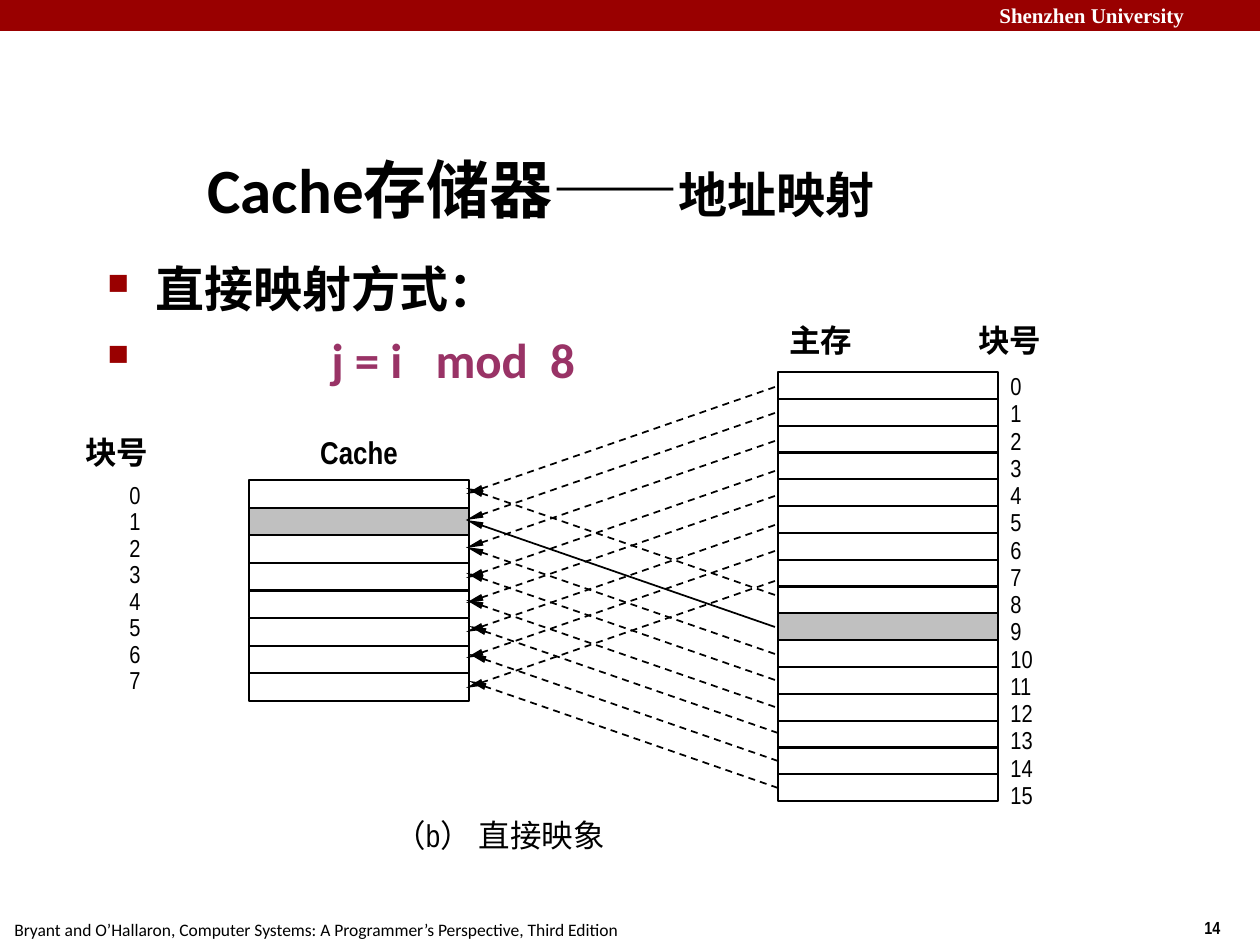
from lxml import etree
from pptx import Presentation
from pptx.dml.color import RGBColor
from pptx.enum.dml import MSO_LINE
from pptx.enum.shapes import MSO_CONNECTOR, MSO_SHAPE
from pptx.enum.text import MSO_ANCHOR, MSO_AUTO_SIZE, PP_ALIGN
from pptx.oxml.ns import qn
from pptx.util import Emu, Pt

RECTANGLE = MSO_SHAPE.RECTANGLE
STRAIGHT = MSO_CONNECTOR.STRAIGHT
DASH = MSO_LINE.DASH
LEFT, CENTER = PP_ALIGN.LEFT, PP_ALIGN.CENTER
MIDDLE = MSO_ANCHOR.MIDDLE
NO_AUTOFIT = MSO_AUTO_SIZE.NONE

EMU_PER_PX = 914400 // 126
RED, BLACK, WHITE, GREY, PURPLE = "990000", "000000", "FFFFFF", "C0C0C0", "993366"

# Content: text runs are (text, font format)
HEADING = dict(name="Calibri", size=36, bold=True, color=BLACK)
BODY = dict(HEADING, size=28)
FORMULA = dict(BODY, color=PURPLE)
LABEL = dict(name="Arial Narrow", size=18, bold=True, color=BLACK)
CAPTION = dict(LABEL, bold=False)
NUMBER = dict(CAPTION, size=14)
PAGE = dict(LABEL, size=10)
FOOTER = dict(name="Calibri", size=10, bold=False, color=BLACK)
BANNER = dict(name="Times New Roman", size=12, bold=True, color=WHITE)

TITLE_BOX = (195, 136, 861, 105)
TITLE = [("Cache存储器——", HEADING), ("地址映射", BODY)]

BULLETS_BOX = (95, 252, 1071, 588)
BULLETS = [  # text, format, text indent, space before in points
    ("直接映射方式：", BODY, 48, 0),
    ("j = i   mod  8", FORMULA, 224, 7),
]

TEXTS = [  # box, text, format, alignment
    ((987, -4, 282, 38), "Shenzhen University", BANNER, LEFT),
    ((1192, 911, 95, 34), "14", PAGE, LEFT),
    ((2, 913, 640, 34), "Bryant and O’Hallaron, Computer Systems: "
     "A Programmer’s Perspective, Third Edition", FOOTER, LEFT),
    ((382, 810, 270, 40), "（b） 直接映象", CAPTION, LEFT),
    ((73, 427, 220, 40), "块号", LABEL, LEFT),
    ((966, 315, 220, 40), "块号", LABEL, LEFT),
    ((249, 427, 220, 40), "Cache", LABEL, CENTER),
    ((777, 315, 220, 40), "主存", LABEL, LEFT),
]

# Block columns: cells fill the height; numbers run evenly from first to last
COLUMNS = [
    dict(count=8, shaded=1, left=249, top=480, width=220, height=221,
         number_left=117, number_width=132, first=474, last=659),
    dict(count=16, shaded=9, left=778, top=372, width=220, height=429,
         number_left=998, number_width=83, first=365, last=774),
]

# Arrows from memory block i to cache block i mod 8
ARROW_STARTS = [387, 413, 441, 471, 496, 525, 551, 581,
                595, 627, 654, 680, 707, 733, 761, 788]
ARROW_FROM, ARROW_TO, ARROW_RISE = 775, 466, 107
CACHE_BLOCKS, SOLID_BLOCK, FIRST_SHIFTED, SHIFT = 8, 9, 13, 3


def px(value):
    return Emu(round(value) * EMU_PER_PX)


def rgb(value):
    return RGBColor.from_string(value)


def add_run(paragraph, text, style):
    run = paragraph.add_run()
    run.text = text
    values = dict(style, size=Pt(style["size"]))
    run.font.color.rgb = rgb(values.pop("color"))
    for name, value in values.items():
        setattr(run.font, name, value)


def add_text_box(slide, box):
    frame = slide.shapes.add_textbox(*map(px, box)).text_frame
    frame.word_wrap = True
    return frame


def add_text(slide, box, text, style, alignment=LEFT):
    paragraph = add_text_box(slide, box).paragraphs[0]
    paragraph.alignment = alignment
    add_run(paragraph, text, style)


def add_rectangle(slide, box, fill=None, line=None):
    shape = slide.shapes.add_shape(RECTANGLE, *map(px, box))
    shape.shadow.inherit = False
    if fill:
        shape.fill.solid()
        shape.fill.fore_color.rgb = rgb(fill)
    else:
        shape.fill.background()
    if line:
        shape.line.color.rgb = rgb(line)
        shape.line.width = Pt(0.75)
    else:
        shape.line.fill.background()


def set_bullet(paragraph, indent):
    properties = paragraph._p.get_or_add_pPr()
    properties.set("marL", str(px(indent)))
    properties.set("indent", str(-px(indent)))
    color = etree.SubElement(properties, qn("a:buClr"))
    etree.SubElement(color, qn("a:srgbClr"), val=RED)
    etree.SubElement(properties, qn("a:buSzPct"), val="60000")
    etree.SubElement(properties, qn("a:buChar"), char="■")


def add_arrow(slide, start, end, dashed):
    arrow = slide.shapes.add_connector(STRAIGHT, *map(px, start + end))
    arrow.line.color.rgb = rgb(BLACK)
    arrow.line.width = Pt(1)
    if dashed:
        arrow.line.dash_style = DASH
    etree.SubElement(arrow.line._get_or_add_ln(), qn("a:tailEnd"),
                     type="triangle", w="sm", len="lg")
    etree.SubElement(arrow._element.spPr, qn("a:effectLst"))


def add_column(slide, column):
    count = column["count"]
    row = column["height"] / count
    step = (column["last"] - column["first"]) / (count - 1)
    for block in range(count):
        cell = (column["left"], column["top"] + block * row, column["width"], row)
        add_rectangle(slide, cell, GREY if block == column["shaded"] else None, BLACK)
        number = (column["number_left"], column["first"] + block * step,
                  column["number_width"], 40)
        add_text(slide, number, str(block), NUMBER)


def main():
    presentation = Presentation()
    presentation.slide_width, presentation.slide_height = px(1260), px(945)
    slide = presentation.slides.add_slide(presentation.slide_layouts[5])

    # Banner, footer and labels
    add_rectangle(slide, (0, 0, 1260, 31), RED)
    for entry in TEXTS:
        add_text(slide, *entry)

    # Title
    title = slide.shapes.title
    title.left, title.top, title.width, title.height = map(px, TITLE_BOX)
    title.text_frame.auto_size = NO_AUTOFIT
    title.text_frame.vertical_anchor = MIDDLE
    heading = title.text_frame.paragraphs[0]
    heading.alignment = LEFT
    for text, style in TITLE:
        add_run(heading, text, style)

    # Bullets
    frame = add_text_box(slide, BULLETS_BOX)
    for index, (text, style, indent, space) in enumerate(BULLETS):
        paragraph = frame.add_paragraph() if index else frame.paragraphs[0]
        set_bullet(paragraph, indent)
        paragraph.space_before = Pt(space)
        add_run(paragraph, text, style)

    # Cache and main memory
    for column in COLUMNS:
        add_column(slide, column)

    # Mapping arrows
    for block, y in enumerate(ARROW_STARTS):
        shift = SHIFT if block >= FIRST_SHIFTED else 0
        rise = ARROW_RISE if block < CACHE_BLOCKS else -ARROW_RISE
        add_arrow(slide, (ARROW_FROM + shift, y), (ARROW_TO + shift, y + rise),
                  dashed=block != SOLID_BLOCK)

    presentation.save("out.pptx")


if __name__ == "__main__":
    main()
